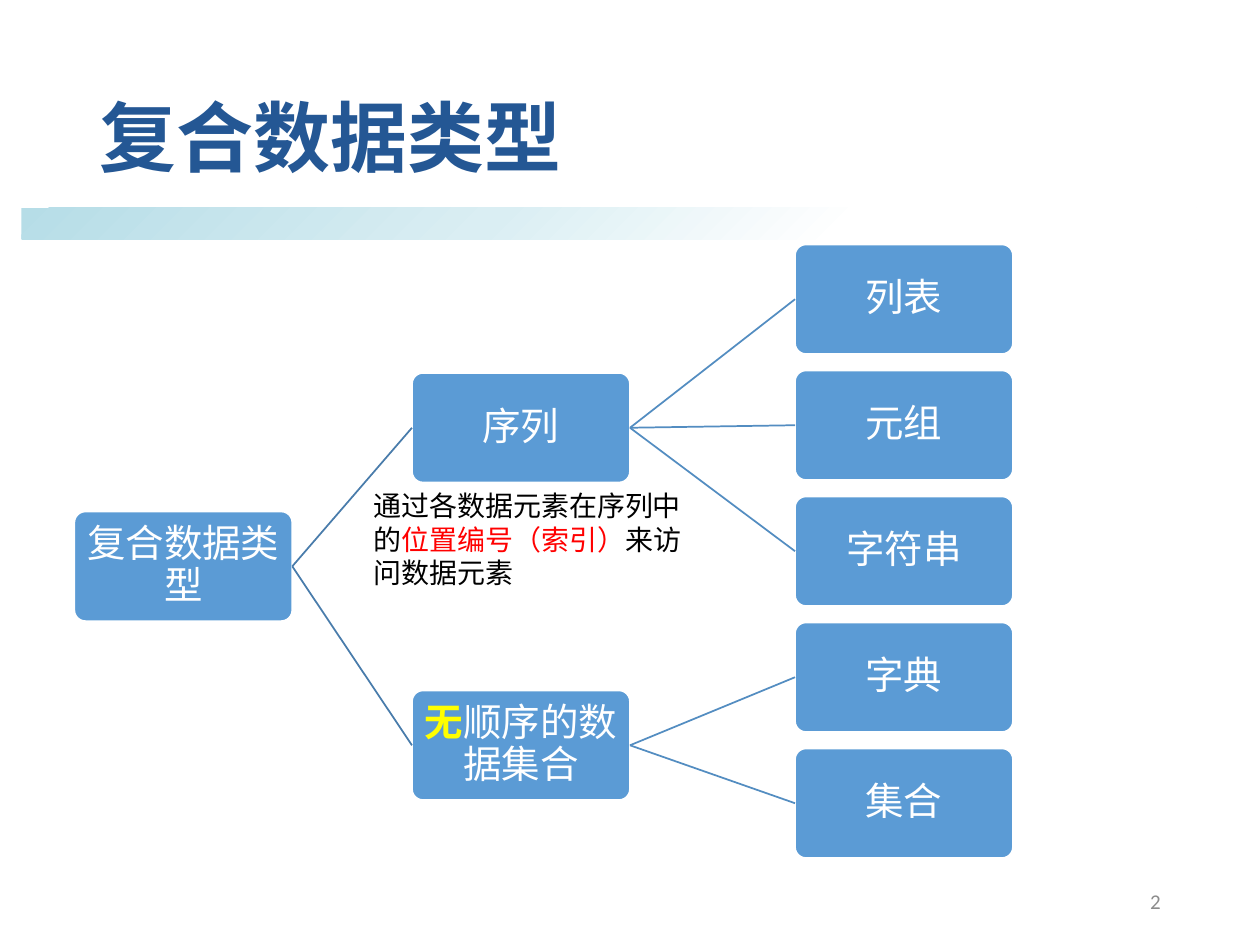
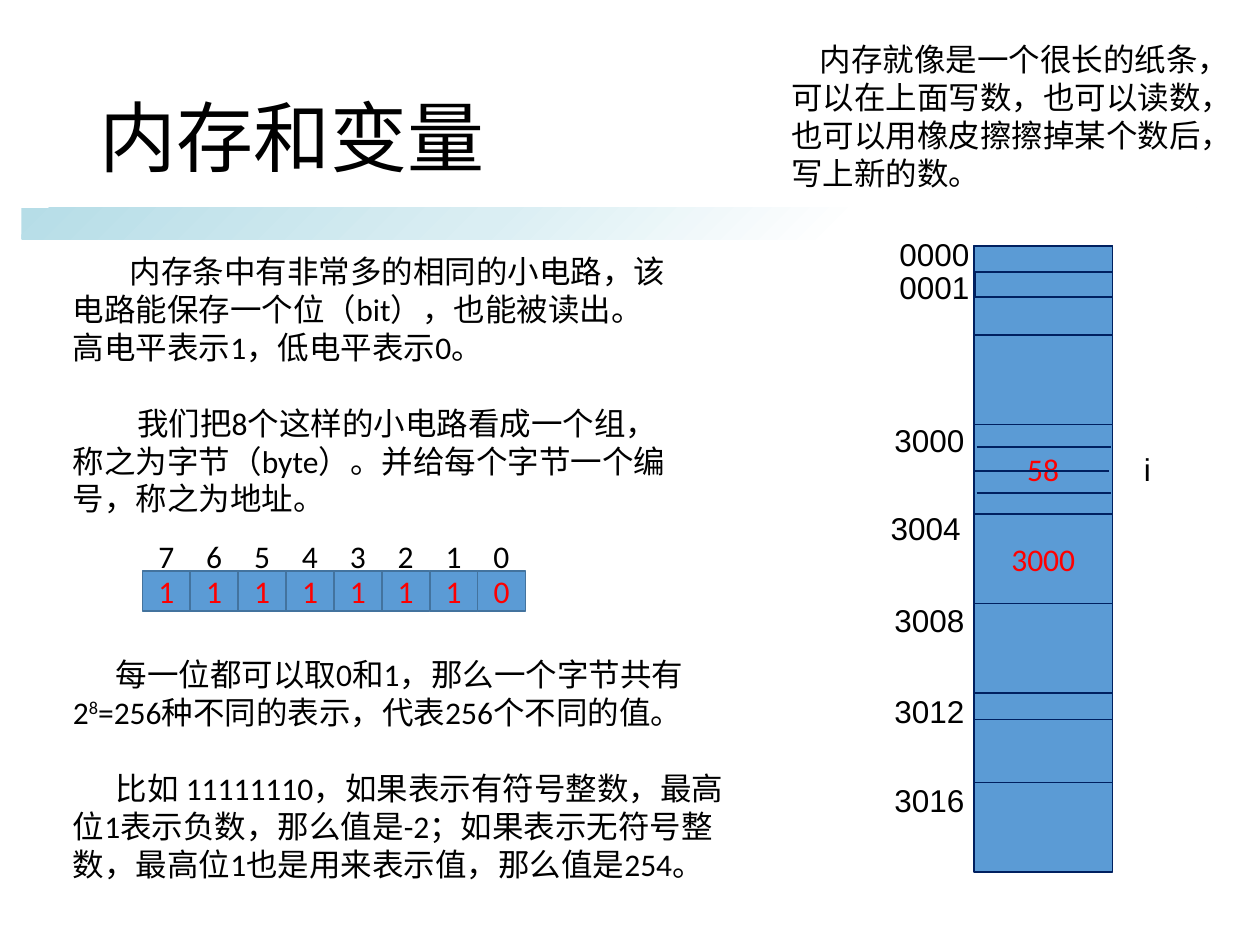
"""Build two teaching slides on compound data types and on memory and variables."""
from lxml import etree
from pptx import Presentation
from pptx.dml.color import RGBColor
from pptx.enum.lang import MSO_LANGUAGE_ID
from pptx.enum.shapes import MSO_CONNECTOR, MSO_SHAPE
from pptx.enum.text import MSO_ANCHOR, PP_ALIGN
from pptx.oxml.ns import qn
from pptx.util import Inches, Pt

STRAIGHT = MSO_CONNECTOR.STRAIGHT
RECTANGLE, ROUNDED = MSO_SHAPE.RECTANGLE, MSO_SHAPE.ROUNDED_RECTANGLE
LEFT, CENTER, RIGHT = PP_ALIGN.LEFT, PP_ALIGN.CENTER, PP_ALIGN.RIGHT
MIDDLE, TOP = MSO_ANCHOR.MIDDLE, MSO_ANCHOR.TOP
CHINESE = MSO_LANGUAGE_ID.SIMPLIFIED_CHINESE

BLUE, NAVY, BYTE_EDGE, TITLE_BLUE = "5B9BD5", "002060", "43739E", "245794"
WHITE, BLACK, RED, YELLOW, GRAY = "FFFFFF", "000000", "FF0000", "FFFF00", "8C8C8C"
BAND_STOPS = [(0, "B6DDE7"), (40, "DAEEF3"), (70, WHITE), (100, WHITE)]
BODY_FONT, LABEL_FONT, NOTE_FONT = "Calibri", "Arial", "Noto Sans CJK SC"

NODE_WIDTH, NODE_HEIGHT = 1.73, 0.87
TREE = {
    "root": (0.59, 4.06, [("复合数据类型", {})]),
    "sequence": (3.27, 2.96, [("序列", {})]),
    "unordered": (3.27, 5.48, [("无", {"color": YELLOW, "bold": True}), ("顺序的数据集合", {})]),
}
LEAVES = [("sequence", "列表"), ("sequence", "元组"), ("sequence", "字符串"),
          ("unordered", "字典"), ("unordered", "集合")]
LEAF_LEFT, LEAF_TOP, LEAF_PITCH = 6.31, 1.94, 1.0
ROOT_LINE, LEAF_LINE = "497CAB", "538DC1"
INDEX_NOTE = [("通过各数据元素在序列中的", {}), ("位置编号（索引）", {"color": RED}),
              ("来访问数据元素", {})]

MEMORY_LEFT, MEMORY_TOP, MEMORY_WIDTH, MEMORY_STEP = 7.73, 1.95, 1.1, 0.71
MEMORY_VALUES = ["", "", "58", "3000", "", "", ""]
SINGLE_BYTES = [(7.73, 1.95, 1.1, 0.21), (7.74, 2.16, 1.09, 0.2), (7.73, 5.5, 1.1, 0.21)]
BYTE_LINES = [(7.75, 3.55), (7.73, 3.74), (7.75, 3.91)]
MEMORY_LABELS = [("0000", 7.04, 1.82), ("0001", 7.04, 2.08), ("3000", 7, 3.29),
                 ("3004", 6.97, 3.99), ("3008", 7, 4.72), ("3012", 7, 5.44),
                 ("3016", 7, 6.15), ("i", 8.98, 3.52)]
BITS = "11111110"
BIT_LEFT, BIT_TOP, BIT_WIDTH, BIT_HEIGHT = 1.13, 4.53, 0.38, 0.32
PASSAGES = [
    ((0.48, 1.95, 4.96, 2.22), [
        (0.45, [("内存条中有非常多的相同的小电路，该电路能保存一个位（bit），也能被读出。"
                 "高电平表示1，低电平表示0。", {})]),
        (0.51, [("我们把8个这样的小电路看成一个组，称之为字节（byte）。"
                 "并给每个字节一个编号，称之为地址。", {})])]),
    ((0.48, 5.15, 5.39, 1.92), [
        (0.34, [("每一位都可以取0和1，那么一个字节共有2", {}), ("8", {"superscript": True}),
                ("=256种不同的表示，代表256个不同的值。", {})]),
        (0.34, [("比如 11111110，如果表示有符号整数，最高位1表示负数，那么值是-2；"
                 "如果表示无符号整数，最高位1也是用来表示值，那么值是254。", {})])]),
    ((6.18, 0.27, 3.54, 1.31), [
        (0.23, [("内存就像是一个很长的纸条，可以在上面写数，也可以读数，"
                 "也可以用橡皮擦擦掉某个数后，写上新的数。", {})])]),
]


def rgb(value):
    return RGBColor.from_string(value)


def inches(*lengths):
    return [Inches(length) for length in lengths]


def format_run(run, size, font=BODY_FONT, color=BLACK, bold=False, superscript=False):
    run.font.name, run.font.size, run.font.bold = font, Pt(size), bold
    run.font.color.rgb = rgb(color)
    run.font.language_id = CHINESE
    if superscript:
        run.font._element.set("baseline", "30000")


def write(paragraph, runs, size, align=LEFT, font=BODY_FONT, color=BLACK):
    paragraph.alignment = align
    for text, style in runs:
        run = paragraph.add_run()
        run.text = text
        format_run(run, size, **{"font": font, "color": color, **style})


def add_box(slide, kind, box, line, fill=BLUE):
    shape = slide.shapes.add_shape(kind, *inches(*box))
    shape.shadow.inherit = False
    shape.fill.solid()
    shape.fill.fore_color.rgb = rgb(fill)
    shape.line.color.rgb = rgb(line)
    shape.line.width = Pt(1)
    return shape


def add_value_box(slide, box, line, value=""):
    shape = add_box(slide, RECTANGLE, box, line)
    if value:
        shape.text_frame.vertical_anchor = MIDDLE
        write(shape.text_frame.paragraphs[0], [(value, {})], 18, CENTER, color=RED)


def add_text(slide, box, runs, size, align=LEFT, wrap=True, anchor=TOP, **style):
    frame = slide.shapes.add_textbox(*inches(*box)).text_frame
    frame.word_wrap, frame.vertical_anchor = wrap, anchor
    write(frame.paragraphs[0], runs, size, align, **style)
    return frame


def add_line(slide, start, end, color):
    connector = slide.shapes.add_connector(STRAIGHT, *inches(*start, *end))
    connector.line.color.rgb = rgb(color)
    connector.line.width = Pt(1)
    etree.SubElement(connector._element.spPr, qn("a:effectLst"))
    return connector


def add_band(slide):
    band = add_box(slide, RECTANGLE, (0.17, 1.65, 9.33, 0.25), WHITE)
    band.line.fill.background()
    band.fill.gradient()
    band.fill.gradient_angle = 315
    stops = band._element.spPr.find(".//" + qn("a:gsLst"))
    for stop in list(stops):
        stops.remove(stop)
    for percent, color in BAND_STOPS:
        stop = etree.SubElement(stops, qn("a:gs"), pos=str(percent * 1000))
        etree.SubElement(stop, qn("a:srgbClr"), val=color)


def add_slide(presentation, title, width, color, bold):
    slide = presentation.slides.add_slide(presentation.slide_layouts[5])
    add_band(slide)
    shape = slide.shapes.title
    shape.left, shape.top, shape.width, shape.height = inches(0.69, 0.4, width, 1.45)
    frame = shape.text_frame
    frame.text = title
    frame.vertical_anchor = MIDDLE
    paragraph = frame.paragraphs[0]
    paragraph.alignment, paragraph.line_spacing = LEFT, 0.9
    format_run(paragraph.runs[0], 44, color=color, bold=bold)
    return slide


def add_node(slide, left, top, runs):
    node = add_box(slide, ROUNDED, (left, top, NODE_WIDTH, NODE_HEIGHT), WHITE)
    node.adjustments[0] = 0.1
    frame = node.text_frame
    frame.margin_left = frame.margin_right = frame.margin_top = frame.margin_bottom = Inches(0.02)
    frame.vertical_anchor = MIDDLE
    frame.paragraphs[0].line_spacing = 0.9
    write(frame.paragraphs[0], runs, 22, CENTER, color=WHITE)
    return node


def join(slide, parent, child, color):
    connector = add_line(slide, (0, 0), (1, 1), color)
    connector.begin_connect(parent, 3)
    connector.end_connect(child, 1)


def build_types_slide(presentation):
    slide = add_slide(presentation, "复合数据类型", 8.62, TITLE_BLUE, True)
    nodes = {name: add_node(slide, *node) for name, node in TREE.items()}
    for name in ("sequence", "unordered"):
        join(slide, nodes["root"], nodes[name], ROOT_LINE)
    for row, (parent, text) in enumerate(LEAVES):
        leaf = add_node(slide, LEAF_LEFT, LEAF_TOP + row * LEAF_PITCH, [(text, {})])
        join(slide, nodes[parent], leaf, LEAF_LINE)
    add_text(slide, (2.87, 3.83, 2.76, 0.91), INDEX_NOTE, 16, font=NOTE_FONT)
    add_text(slide, (7.06, 6.95, 2.25, 0.4), [("2", {})], 12, RIGHT, anchor=MIDDLE, color=GRAY)


def add_memory(slide):
    for row, value in enumerate(MEMORY_VALUES):
        top = MEMORY_TOP + row * MEMORY_STEP
        add_value_box(slide, (MEMORY_LEFT, top, MEMORY_WIDTH, MEMORY_STEP), NAVY, value)
    for box in SINGLE_BYTES:
        add_value_box(slide, box, NAVY)
    for left, top in BYTE_LINES:
        add_line(slide, (left, top), (left + 1.07, top), NAVY)
    for text, left, top in MEMORY_LABELS:
        width = 0.2 + 0.14 * len(text) if len(text) > 1 else 0.26
        add_text(slide, (left, top, width, 0.4), [(text, {})], 18, wrap=False, font=LABEL_FONT)


def add_byte(slide):
    for column, bit in enumerate(BITS):
        left = BIT_LEFT + column * BIT_WIDTH
        add_value_box(slide, (left, BIT_TOP, BIT_WIDTH, BIT_HEIGHT), BYTE_EDGE, bit)
    frame = add_text(slide, (BIT_LEFT, 4.21, 3.08, 0.4), [], 18)
    frame.margin_left = 0
    paragraph = frame.paragraphs[0]
    tabs = etree.SubElement(paragraph._p.get_or_add_pPr(), qn("a:tabLst"))
    for column in range(len(BITS)):
        position = Inches((column + 0.5) * BIT_WIDTH)
        etree.SubElement(tabs, qn("a:tab"), pos=str(position), algn="ctr")
    numbers = "".join(f"\t{number}" for number in reversed(range(len(BITS))))
    write(paragraph, [(numbers, {})], 18)


def add_passage(slide, box, paragraphs):
    frame = add_text(slide, box, [], 18)
    for number, (indent, runs) in enumerate(paragraphs):
        paragraph = frame.add_paragraph() if number else frame.paragraphs[0]
        if number:
            paragraph.space_before = Pt(22)
        properties = paragraph._p.get_or_add_pPr()
        properties.set("marL", "0")
        properties.set("indent", str(Inches(indent)))
        write(paragraph, runs, 18)


def build_memory_slide(presentation):
    slide = add_slide(presentation, "内存和变量", 3.76, BLACK, False)
    add_memory(slide)
    add_byte(slide)
    for box, paragraphs in PASSAGES:
        add_passage(slide, box, paragraphs)


def main():
    presentation = Presentation()
    presentation.slide_width, presentation.slide_height = inches(10, 7.5)
    build_types_slide(presentation)
    build_memory_slide(presentation)
    presentation.save("out.pptx")


if __name__ == "__main__":
    main()
